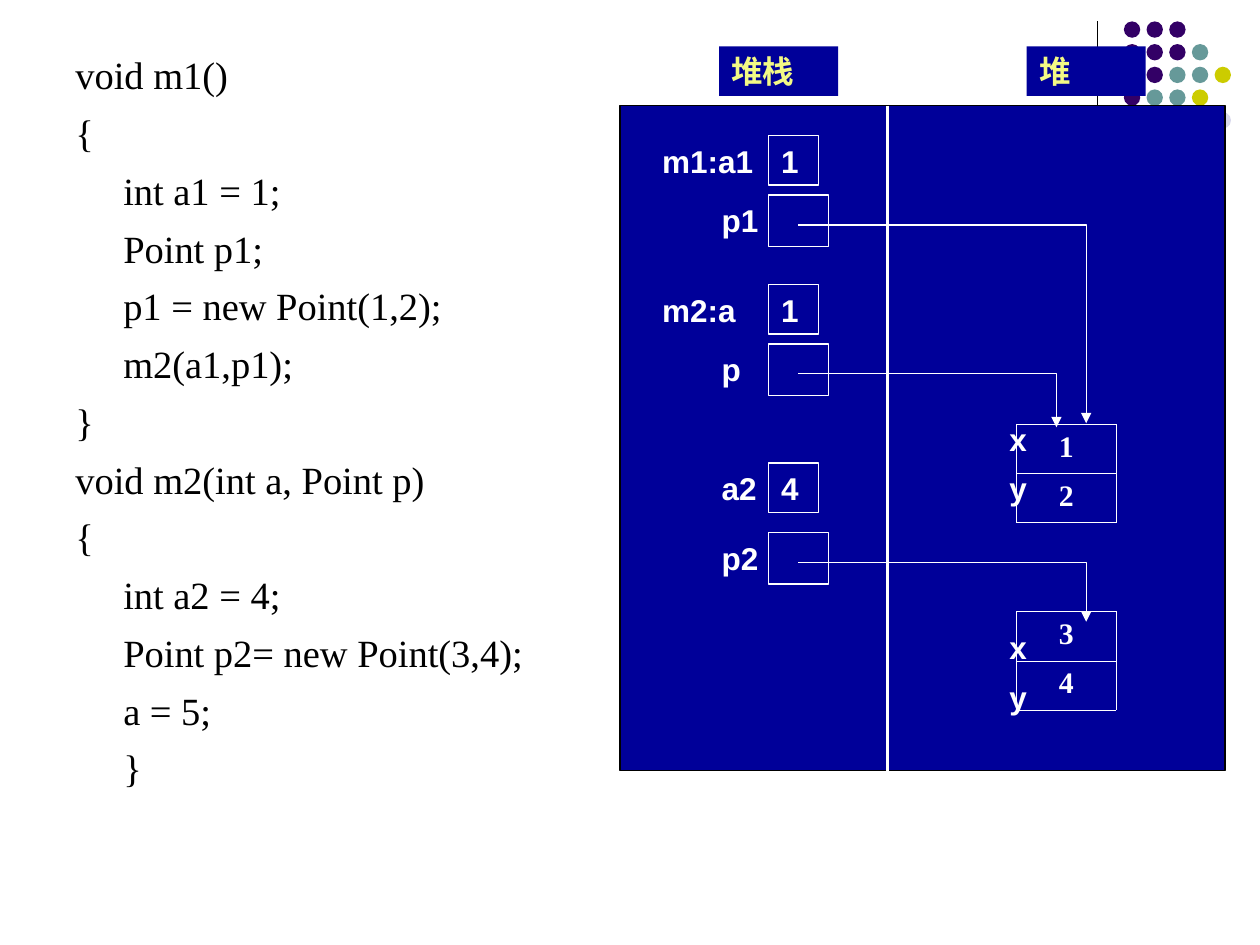
from typing import NamedTuple, Optional

from lxml.etree import SubElement
from pptx import Presentation
from pptx.dml.color import RGBColor
from pptx.enum.shapes import MSO_CONNECTOR as Connector
from pptx.enum.shapes import MSO_SHAPE as Preset
from pptx.enum.text import MSO_ANCHOR as Anchor
from pptx.enum.text import PP_ALIGN as Align
from pptx.oxml.ns import qn
from pptx.util import Inches, Pt

COLORS = {
    "navy": "000099", "white": "FFFFFF", "black": "000000", "title": "F3F985",
    "P": "330066", "T": "669999", "Y": "CCCC00", "L": "D8D8EC",
}
UNIT = 10 / 127
PANEL_LEFT, PANEL_TOP = 4.92, 0.84
DOT_ROWS = ("PPP", "PPPT", ".PTTY", "PTTY", "....L")
DOT_SIZE, DOT_PITCH = 0.13, 0.18
BOX_HEIGHT = 5
CODE_INDENT = 0.38


class Label(NamedTuple):
    text: str
    column: float
    row: float
    width: float
    color: str = "white"


class Variable(NamedTuple):
    name: str
    column: float
    row: float
    width: float
    value: Optional[str] = None


class Reference(NamedTuple):
    row: float
    end_column: float
    end_row: float


class HeapObject(NamedTuple):
    row: float
    label_row: float
    values: tuple


class CodeLine(NamedTuple):
    text: str
    level: int = 0


TITLES = (Label("堆栈", 10, -6, 12, "title"), Label("堆", 41, -6, 12, "title"))
VARIABLES = (
    Variable("m1:a1", 3, 3, 14, "1"),
    Variable("p1", 9, 9, 8),
    Variable("m2:a", 3, 18, 14, "1"),
    Variable("p", 9, 24, 8),
    Variable("a2", 9, 36, 7, "4"),
    Variable("p2", 9, 43, 7),
)
REFERENCES = (Reference(27, 44, 32.4), Reference(12, 47, 32), Reference(46, 47, 52))
HEAP = (HeapObject(32.1, 31, ("1", "2")), HeapObject(51, 52, ("3", "4")))
CODE = (
    CodeLine("void m1()"),
    CodeLine("{"),
    CodeLine("int a1 = 1;", 1),
    CodeLine("Point p1;", 1),
    CodeLine("p1 = new Point(1,2);", 1),
    CodeLine("m2(a1,p1);", 1),
    CodeLine("}"),
    CodeLine("void m2(int a, Point p)"),
    CodeLine("{"),
    CodeLine("int a2 = 4;", 1),
    CodeLine("Point p2= new Point(3,4);", 1),
    CodeLine("a = 5;", 1),
    CodeLine("}", 1),
)


def rgb(name: str) -> RGBColor:
    return RGBColor.from_string(COLORS[name])


def across(column: float) -> int:
    return Inches(PANEL_LEFT + column * UNIT)


def down(row: float) -> int:
    return Inches(PANEL_TOP + row * UNIT)


def span(units: float) -> int:
    return Inches(units * UNIT)


def add_run(paragraph, text: str, size: float, font: str, color: str, bold: bool) -> None:
    run = paragraph.add_run()
    run.text = text
    run.font.size = Pt(size)
    run.font.name = font
    run.font.bold = bold
    run.font.color.rgb = rgb(color)


def draw_shape(slide, preset, box: tuple, fill: str, line: Optional[str] = None):
    shape = slide.shapes.add_shape(preset, *box)
    shape.shadow.inherit = False
    shape.fill.solid()
    shape.fill.fore_color.rgb = rgb(fill)
    if line:
        shape.line.color.rgb = rgb(line)
        shape.line.width = Pt(0.75)
    else:
        shape.line.fill.background()
    return shape


def draw_label(slide, label: Label, line: Optional[str] = None) -> None:
    box = across(label.column), down(label.row), span(label.width), span(BOX_HEIGHT)
    shape = draw_shape(slide, Preset.RECTANGLE, box, "navy", line)
    frame = shape.text_frame
    frame.word_wrap = True
    frame.vertical_anchor = Anchor.TOP
    paragraph = frame.paragraphs[0]
    paragraph.alignment = Align.LEFT
    add_run(paragraph, label.text, 18, "Arial", label.color, True)


def draw_variable(slide, variable: Variable) -> None:
    draw_label(slide, Label(variable.name, variable.column, variable.row, variable.width))
    if variable.value:
        draw_label(slide, Label(variable.value, 15, variable.row, 5), "white")
    else:
        box = across(15), down(variable.row), span(6), span(5.2)
        draw_shape(slide, Preset.RECTANGLE, box, "navy", "white")


def draw_line(slide, kind, ends: tuple, color: str, width: float):
    connector = slide.shapes.add_connector(kind, *ends)
    connector.line.color.rgb = rgb(color)
    connector.line.width = Pt(width)
    SubElement(connector._element.spPr, qn("a:effectLst"))
    return connector


def draw_reference(slide, reference: Reference) -> None:
    ends = across(18), down(reference.row), across(reference.end_column), down(reference.end_row)
    connector = draw_line(slide, Connector.ELBOW, ends, "white", 0.75)
    properties = connector._element.spPr
    properties.find(qn("a:prstGeom")).set("prst", "bentConnector2")
    SubElement(properties.find(qn("a:ln")), qn("a:tailEnd"), type="triangle")


def draw_heap_table(slide, heap_object: HeapObject) -> None:
    count = len(heap_object.values)
    box = across(40), down(heap_object.row), span(10), Inches(0.39 * count)
    table = slide.shapes.add_table(count, 1, *box).table
    table.first_row = table.horz_banding = False
    for index, value in enumerate(heap_object.values):
        cell = table.cell(index, 0)
        properties = cell._tc.get_or_add_tcPr()
        for side in ("a:lnL", "a:lnR", "a:lnT", "a:lnB"):
            border = SubElement(properties, qn(side), w=str(Pt(0.45)))
            fill = SubElement(border, qn("a:solidFill"))
            SubElement(fill, qn("a:srgbClr"), val=COLORS["white"])
        cell.fill.background()
        paragraph = cell.text_frame.paragraphs[0]
        paragraph.alignment = Align.CENTER
        add_run(paragraph, value, 17, "Times New Roman", "white", True)


def draw_code(slide) -> None:
    box = slide.shapes.add_textbox(Inches(0.5), Inches(0.36), Inches(4.42), Inches(6.34))
    frame = box.text_frame
    frame.word_wrap = True
    for index, line in enumerate(CODE):
        paragraph = frame.add_paragraph() if index else frame.paragraphs[0]
        paragraph.space_before = Pt(6.6 if index else 0)
        paragraph._p.get_or_add_pPr().set("marL", str(Inches(CODE_INDENT * line.level)))
        add_run(paragraph, line.text, 22, "Times New Roman", "black", False)


def draw_dots(slide) -> None:
    size = Inches(DOT_SIZE)
    for row, colors in enumerate(DOT_ROWS):
        for column, color in enumerate(colors):
            if color in COLORS:
                left, top = Inches(8.92 + column * DOT_PITCH), Inches(0.17 + row * DOT_PITCH)
                draw_shape(slide, Preset.OVAL, (left, top, size, size), color)


def main() -> None:
    presentation = Presentation()
    presentation.slide_width, presentation.slide_height = Inches(10), Inches(7.5)
    slide = presentation.slides.add_slide(presentation.slide_layouts[6])
    rule = Inches(8.71), Inches(0.17), Inches(8.71), Inches(1.83)
    draw_line(slide, Connector.STRAIGHT, rule, "black", 0.75)
    draw_dots(slide)
    panel = across(0), down(0), span(61), span(67)
    draw_shape(slide, Preset.RECTANGLE, panel, "navy", "black")
    for title in TITLES:
        draw_label(slide, title)
    divider = across(27), down(0), across(27), down(67)
    draw_line(slide, Connector.STRAIGHT, divider, "white", 1.5)
    for variable in VARIABLES:
        draw_variable(slide, variable)
    for heap_object in HEAP:
        for index, field in enumerate("xy"):
            draw_label(slide, Label(field, 38, heap_object.label_row + 5 * index, 5))
    for reference in REFERENCES:
        draw_reference(slide, reference)
    draw_code(slide)
    for heap_object in HEAP:
        draw_heap_table(slide, heap_object)
    presentation.save("out.pptx")


if __name__ == "__main__":
    main()
